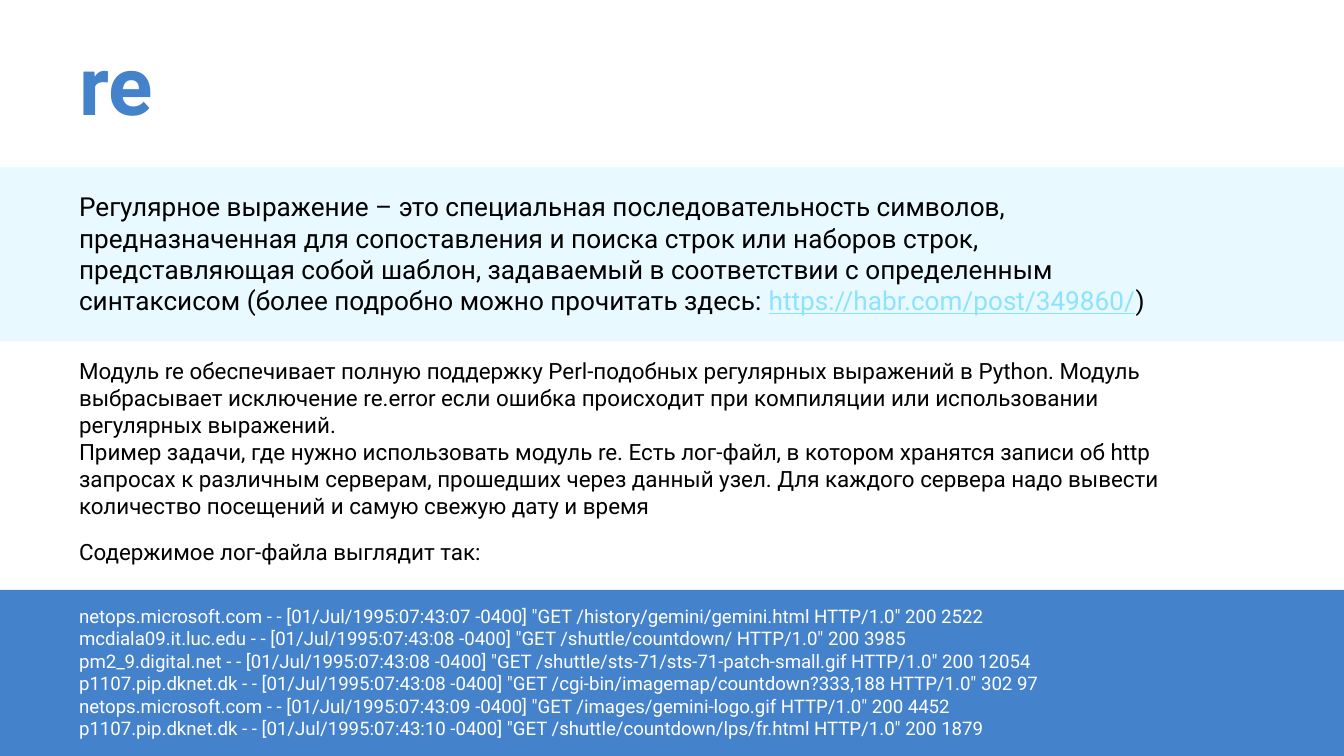
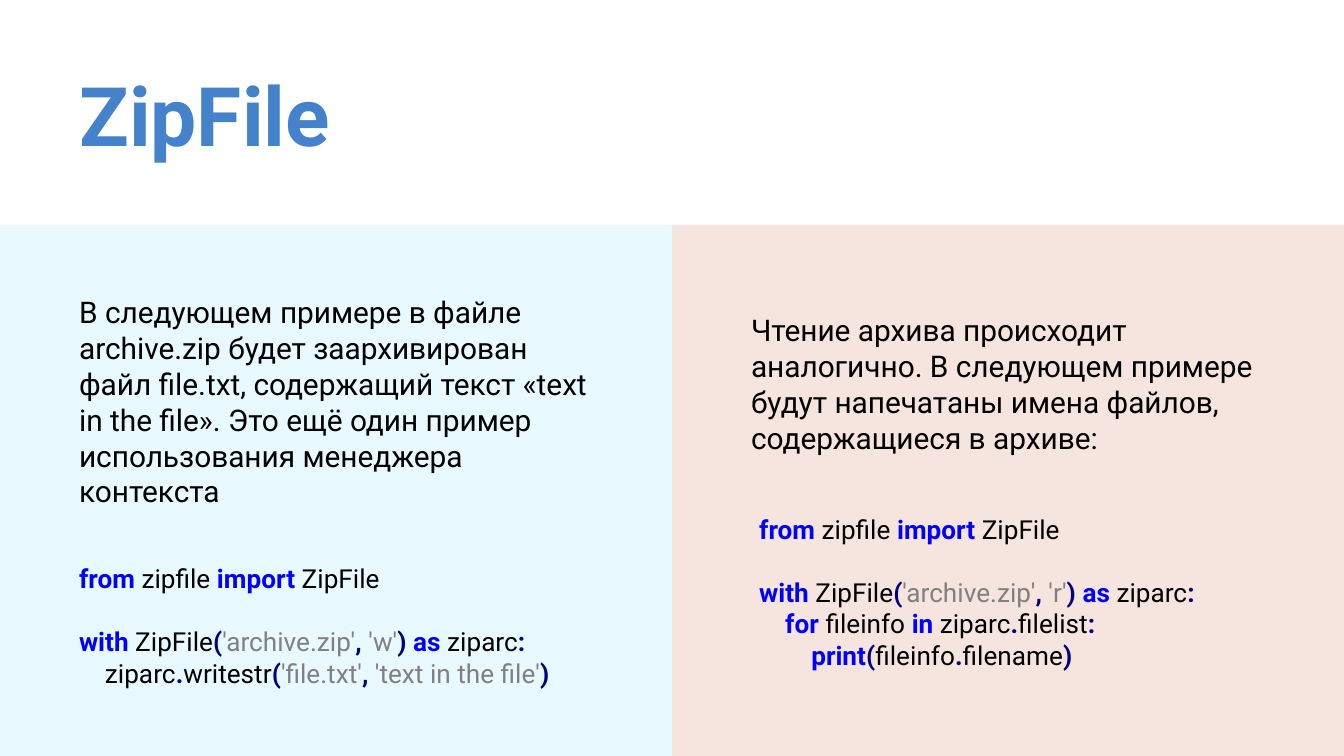
from pptx import Presentation
from pptx.dml.color import RGBColor
from pptx.enum.shapes import MSO_SHAPE
from pptx.enum.text import MSO_ANCHOR, MSO_AUTO_SIZE, PP_ALIGN
from pptx.util import Pt

RECTANGLE = MSO_SHAPE.RECTANGLE
TOP = MSO_ANCHOR.TOP
LEFT = PP_ALIGN.LEFT
NO_FIT = MSO_AUTO_SIZE.NONE
GROW = MSO_AUTO_SIZE.SHAPE_TO_FIT_TEXT

FONT = "Roboto"
BLUE = "4482CC"
PALE_BLUE = "E8F9FF"
PALE_PINK = "F5E5DE"
LINK = "8BE3FF"
BLACK = "000000"
WHITE = "FFFFFF"
KEYWORD = "0000FF"
SYMBOL = "000080"
STRING = "808080"

WIDTH = 720
HEIGHT = 405
MARGIN = 35.3
CODE_SIZE = 14
CODE_LINE = 16.9


def rgb(value):
    return RGBColor.from_string(value)


def add_text(slide, box, size, lines, color=BLACK):
    shape = slide.shapes.add_textbox(*[Pt(length) for length in box])
    frame = shape.text_frame
    frame.word_wrap = True
    frame.auto_size = GROW
    for index, line in enumerate(lines):
        paragraph = frame.paragraphs[0] if index == 0 else frame.add_paragraph()
        paragraph.font.name = FONT
        paragraph.font.size = Pt(size)
        paragraph.font.color.rgb = rgb(color)
        if isinstance(line, str):
            paragraph.add_run().text = line
            continue
        for text, run_color in line:
            run = paragraph.add_run()
            run.text = text
            run.font.name = FONT
            run.font.size = Pt(size)
            run.font.color.rgb = rgb(run_color)
            run.font.bold = run_color in (KEYWORD, SYMBOL)
            run.font.underline = run_color == LINK
    return frame


presentation = Presentation()
presentation.slide_width = Pt(WIDTH)
presentation.slide_height = Pt(HEIGHT)

slide_frames = [
    ("re", 10.8, 702, [
        (0, 89.5, WIDTH, 93.4, PALE_BLUE),
        (0, 316, WIDTH, 89, BLUE),
    ]),
    ("ZipFile", 27.4, 674.6, [
        (WIDTH / 2, 120.5, WIDTH / 2, 285.5, PALE_PINK),
        (0, 120.5, WIDTH / 2, 285.5, PALE_BLUE),
    ]),
]
slides = []
for title_text, title_top, title_width, bands in slide_frames:
    slide = presentation.slides.add_slide(presentation.slide_layouts[5])
    slides.append(slide)
    for left, top, width, height, fill in bands:
        band = slide.shapes.add_shape(RECTANGLE, Pt(left), Pt(top), Pt(width), Pt(height))
        band.shadow.inherit = False
        band.fill.solid()
        band.fill.fore_color.rgb = rgb(fill)
        band.line.fill.background()

    title = slide.shapes.title
    title.left, title.top = Pt(MARGIN), Pt(title_top)
    title.width, title.height = Pt(title_width), Pt(54.7)
    frame = title.text_frame
    frame.text = title_text
    frame.word_wrap = True
    frame.auto_size = NO_FIT
    frame.vertical_anchor = TOP
    frame.margin_left = frame.margin_right = Pt(7.2)
    frame.margin_top = frame.margin_bottom = Pt(7.2)
    paragraph = frame.paragraphs[0]
    paragraph.alignment = LEFT
    paragraph.font.name = FONT
    paragraph.font.size = Pt(44)
    paragraph.font.bold = True
    paragraph.font.color.rgb = rgb(BLUE)

re_slide, zip_slide = slides

add_text(re_slide, (MARGIN, 98.6, 615, 75), 14, [[
    ("Регулярное выражение – это специальная последовательность символов, "
     "предназначенная для сопоставления и поиска строк или наборов строк, "
     "представляющая собой шаблон, задаваемый в соответствии с определенным "
     "синтаксисом (более подробно можно прочитать здесь: ", BLACK),
    ("https://habr.com/post/349860/", LINK),
    (")", BLACK),
]])
add_text(re_slide, (MARGIN, 188, 615, 94), 12, [
    "Модуль re обеспечивает полную поддержку Perl-подобных регулярных выражений "
    "в Python. Модуль выбрасывает исключение re.error если ошибка происходит при "
    "компиляции или использовании регулярных выражений.",
    "Пример задачи, где нужно использовать модуль re. Есть лог-файл, в котором "
    "хранятся записи об http запросах к различным серверам, прошедших через данный "
    "узел. Для каждого сервера надо вывести количество посещений и самую свежую "
    "дату и время",
])
add_text(re_slide, (MARGIN, 285, 369, 21.6), 12, ["Содержимое лог-файла выглядит так:"])
add_text(re_slide, (MARGIN, 320.4, 682, 80), 10, [
    'netops.microsoft.com - - [01/Jul/1995:07:43:07 -0400] "GET /history/gemini/gemini.html HTTP/1.0" 200 2522',
    'mcdiala09.it.luc.edu - - [01/Jul/1995:07:43:08 -0400] "GET /shuttle/countdown/ HTTP/1.0" 200 3985',
    'pm2_9.digital.net - - [01/Jul/1995:07:43:08 -0400] "GET /shuttle/sts-71/sts-71-patch-small.gif HTTP/1.0" 200 12054',
    'p1107.pip.dknet.dk - - [01/Jul/1995:07:43:08 -0400] "GET /cgi-bin/imagemap/countdown?333,188 HTTP/1.0" 302 97',
    'netops.microsoft.com - - [01/Jul/1995:07:43:09 -0400] "GET /images/gemini-logo.gif HTTP/1.0" 200 4452',
    'p1107.pip.dknet.dk - - [01/Jul/1995:07:43:10 -0400] "GET /shuttle/countdown/lps/fr.html HTTP/1.0" 200 1879',
], WHITE)

add_text(zip_slide, (MARGIN, 154, 290, 124), 16, [
    "В следующем примере в файле archive.zip будет заархивирован файл file.txt, "
    "содержащий текст «text in the file». Это ещё один пример использования "
    "менеджера контекста",
])
add_text(zip_slide, (395.3, 163.6, 296, 85), 16, [
    "Чтение архива происходит аналогично. В следующем примере будут напечатаны "
    "имена файлов, содержащиеся в архиве:",
])

write_body = [
    [("    ziparc", BLACK), (".", SYMBOL), ("writestr", BLACK), ("(", SYMBOL),
     ("'file.txt'", STRING), (", ", SYMBOL), ("'text in the file'", STRING), (")", SYMBOL)],
]
read_body = [
    [("    for ", KEYWORD), ("fileinfo ", BLACK), ("in ", KEYWORD), ("ziparc", BLACK),
     (".", SYMBOL), ("filelist", BLACK), (":", SYMBOL)],
    [("        print", KEYWORD), ("(", SYMBOL), ("fileinfo", BLACK), (".", SYMBOL),
     ("filename", BLACK), (")", SYMBOL)],
]
for box, mode, body in [
    ((MARGIN, 298, 314.6, 75), "'w'", write_body),
    ((399.6, 271.5, 330.5, 92), "'r'", read_body),
]:
    import_line = [("from ", KEYWORD), ("zipfile ", BLACK), ("import", KEYWORD), (" ZipFile", BLACK)]
    with_line = [
        ("with", KEYWORD), (" ZipFile", BLACK), ("(", SYMBOL), ("'archive.zip'", STRING),
        (", ", SYMBOL), (mode, STRING), (") ", SYMBOL), ("as ", KEYWORD),
        ("ziparc", BLACK), (":", SYMBOL),
    ]
    code = add_text(zip_slide, box, CODE_SIZE, [import_line, with_line] + body)
    code.paragraphs[1].space_before = Pt(CODE_LINE)

presentation.save("out.pptx")
